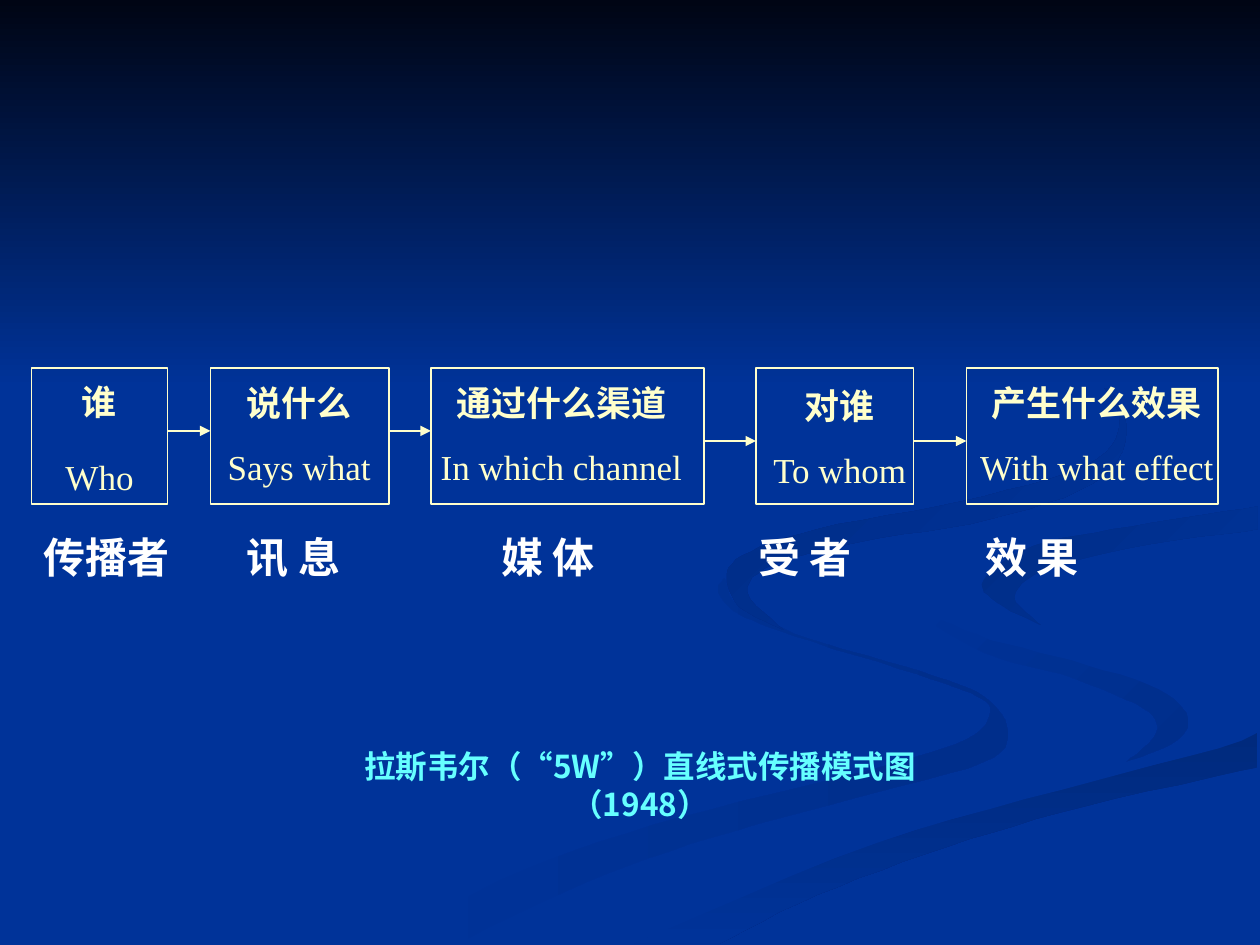
from collections import namedtuple
from itertools import cycle

from lxml import etree
from pptx import Presentation
from pptx.dml.color import RGBColor as Rgb
from pptx.enum.shapes import MSO_CONNECTOR as Line, MSO_SHAPE as Shape
from pptx.enum.text import MSO_AUTO_SIZE as Fit, PP_ALIGN as Align
from pptx.oxml.ns import qn
from pptx.util import Inches, Pt

HUES = {"blue": "003399", "night": "000514", "cream": "FFFFCC",
        "white": "FFFFFF", "cyan": "66FFFF", "bend": "002E8B",
        "road": "002A7D", "fork": "002D86", "loop": "002B82"}
SERIF, SANS = "Times New Roman", "Noto Sans CJK SC"

Swoosh = namedtuple("Swoosh", "near far first last angle")
Step = namedtuple("Step", "top base left width area gap")

BEND = Swoosh(
    [(5.75, 4.59), (5.87, 4.81), (6.42, 5.07), (7.31, 5.33), (7.81, 5.53),
     (8, 5.81), (7.8, 6.05), (6.76, 6.34), (5.64, 6.65), (4.66, 7), (3.61, 7.49)],
    [(5.75, 4.59), (5.7, 4.7), (5.86, 4.87), (6.31, 5.05), (7.28, 5.35),
     (7.76, 5.53), (7.86, 5.66), (7.67, 5.87), (6.84, 6.13), (5.39, 6.49),
     (4.17, 6.9), (3, 7.49)],
    "blue", "bend", 0)
CURL = Swoosh(
    [(7.24, 4.64), (7.33, 4.83), (7.74, 5.03), (8.5, 5.24), (9.19, 5.47),
     (9.43, 5.7), (9.32, 5.89), (8.94, 6.05)],
    [(7.24, 4.64), (7.33, 4.88), (7.81, 5.18), (8.54, 5.39), (9.07, 5.62),
     (9.18, 5.81), (8.94, 6.05)],
    "blue", "bend", 45)
ROAD = Swoosh(
    [(5.03, 7.49), (5.69, 7.19), (6.96, 6.69), (8.31, 6.29), (9.36, 6.02),
     (9.98, 5.81)],
    [(5.71, 7.49), (6.49, 7.1), (7.52, 6.72), (8.61, 6.4), (9.98, 6.09)],
    "road", "blue", 90)
BANK = Swoosh(
    [(9.99, 3.87), (8.74, 4.08), (7.7, 4.27), (7.25, 4.64), (7.75, 5.03),
     (8.51, 5.24), (9.2, 5.47), (9.43, 5.7), (9.19, 5.97), (7.8, 6.34),
     (6.19, 6.84), (4.77, 7.49)],
    [(9.99, 4.02), (8.65, 4.24), (7.92, 4.47), (7.86, 4.73), (8.66, 5.09),
     (9.99, 5.38), (9.99, 5.81), (8.68, 6.2), (6.96, 6.69), (5.03, 7.49)],
    "blue", "blue", 0)
FORK = Swoosh(
    [(9.98, 4.02), (8.98, 4.18), (8.21, 4.33), (7.81, 4.6), (7.91, 4.78),
     (8.26, 4.96)],
    [(9.98, 4.2), (8.96, 4.35), (8.28, 4.53), (8.05, 4.74), (8.26, 4.96)],
    "fork", "blue", 45)
LOOP = Swoosh(
    [(7.62, 2.33), (8.05, 2.54), (8.62, 2.92), (8.89, 3.35), (8.61, 3.7),
     (7.63, 3.98), (6.49, 4.2), (5.89, 4.41), (5.77, 4.62), (5.9, 4.84),
     (6.22, 5)],
    [(7.62, 2.33), (8.21, 2.61), (8.73, 2.99), (8.94, 3.44), (8.67, 3.84),
     (7.86, 4.12), (6.83, 4.3), (6.14, 4.48), (5.93, 4.7), (6.22, 5)],
    "loop", "blue", 45)

STEPS = [
    Step("谁", "Who", 0.25, 1.08, (0.25, 2.97, 1.08, 1.04), 19),
    Step("说什么", "Says what", 1.67, 1.42, (1.25, 2.98, 2.25, 0.94), 12.5),
    Step("通过什么渠道", "In which channel", 3.42, 2.17,
         (3.33, 2.98, 2.25, 0.94), 12.5),
    Step("对谁", "To whom", 6, 1.25, (6, 3, 1.33, 0.94), 12.5),
    Step("产生什么效果", "With what effect", 7.67, 2,
         (7.33, 2.98, 2.75, 0.94), 12.5)]
LINKS = [3.42, 3.42, 3.5, 3.5]
ROLES = ["传播者", "讯 息", "媒 体", "受 者", "效 果"]
STOPS = [1.61, 3.63, 5.67, 7.47]
TITLE = ["拉斯韦尔（", "“", "5W", "”", "）直线式传播模式图（1948）"]


def tint(hue):
    return Rgb.from_string(HUES[hue])


def style(run, size, hue, bold=True, face=SERIF):
    font = run.font
    font.size, font.bold, font.name = Pt(size), bold, face
    font.color.rgb = tint(hue)
    east = etree.SubElement(run._r.get_or_add_rPr(), qn("a:ea"))
    east.set("typeface", SANS)


def frame(slide, box):
    text = slide.shapes.add_textbox(*map(Inches, box)).text_frame
    text.word_wrap = True
    text.auto_size = Fit.SHAPE_TO_FIT_TEXT
    return text


def wash(shape, first, last, angle):
    shape.shadow.inherit = False
    shape.line.fill.background()
    shape.fill.gradient()
    shape.fill.gradient_angle = (360 - angle) % 360
    for stop, hue in zip(shape.fill.gradient_stops, (first, last)):
        stop.color.rgb = tint(hue)


def blend(a, b, c, d, t):
    return (2 * b + (c - a) * t + (2 * a - 5 * b + 4 * c - d) * t ** 2
            + (3 * b - a - 3 * c + d) * t ** 3) / 2


def curve(knots, parts=6):
    ends = [knots[0], *knots, knots[-1]]
    dots = [tuple(blend(*axis, n / parts) for axis in zip(*four))
            for four in zip(ends, ends[1:], ends[2:], ends[3:])
            for n in range(parts)]
    return dots + [knots[-1]]


def ribbon(slide, part, width):
    dots = curve(part.near) + curve(part.far)[::-1]
    dots = [(min(x, width) * 100, y * 100) for x, y in dots]
    pen = slide.shapes.build_freeform(*dots[0], scale=Inches(0.01))
    pen.add_line_segments(dots[1:], close=True)
    wash(pen.convert_to_shape(), part.first, part.last, part.angle)


def scene(slide, box):
    slide.background.fill.solid()
    slide.background.fill.fore_color.rgb = tint("blue")
    for part in (BEND, CURL, ROAD, BANK, FORK, LOOP):
        ribbon(slide, part, box[2])
    sky = slide.shapes.add_shape(Shape.RECTANGLE, *map(Inches, box))
    wash(sky, "night", "blue", 90)


def panel(slide, box):
    rect = slide.shapes.add_shape(Shape.RECTANGLE, *map(Inches, box))
    rect.shadow.inherit = False
    rect.fill.background()
    rect.line.color.rgb = tint("cream")
    rect.line.width = Pt(1)


def words(slide, step):
    text = frame(slide, step.area)
    text.text = f"{step.top}\n{step.base}"
    for para, bold in zip(text.paragraphs, (True, False)):
        para.alignment = Align.CENTER
        style(para.runs[0], 20, "cream", bold)
    text.paragraphs[1].space_before = Pt(step.gap)


def arrow(slide, left, right, y):
    link = slide.shapes.add_connector(
        Line.STRAIGHT, *map(Inches, (left, y, right, y)))
    link.line.color.rgb = tint("cream")
    link.line.width = Pt(1)
    etree.SubElement(link.line._get_or_add_ln(), qn("a:tailEnd"), type="triangle")
    etree.SubElement(link._element.spPr, qn("a:effectLst"))


def flow(slide, top, height):
    for step in STEPS:
        panel(slide, (step.left, top, step.width, height))
    for step in STEPS:
        words(slide, step)
    for here, there, y in zip(STEPS, STEPS[1:], LINKS):
        arrow(slide, here.left + here.width, there.left, y)


def roles(slide, box):
    para = frame(slide, box).paragraphs[0]
    tabs = etree.SubElement(para._p.get_or_add_pPr(), qn("a:tabLst"))
    for stop in STOPS:
        etree.SubElement(tabs, qn("a:tab"), pos=str(Inches(stop)), algn="l")
    para.text = "\t".join(ROLES)
    for run in para.runs:
        style(run, 24, "white")


def title(slide, box):
    para = frame(slide, box).paragraphs[0]
    para.alignment = Align.CENTER
    for part, face in zip(TITLE, cycle((SANS, SERIF))):
        run = para.add_run()
        run.text = part
        style(run, 18, "cyan", face=face)


def main():
    deck = Presentation()
    deck.slide_width, deck.slide_height = Inches(10), Inches(7.5)
    slide = deck.slides.add_slide(deck.slide_layouts[6])
    scene(slide, (0, 0, 10, 3.08))
    flow(slide, 2.92, 1.08)
    roles(slide, (0.25, 4.17, 9.33, 0.5))
    title(slide, (2.4, 5.88, 5.36, 0.7))
    deck.save("out.pptx")


if __name__ == "__main__":
    main()
